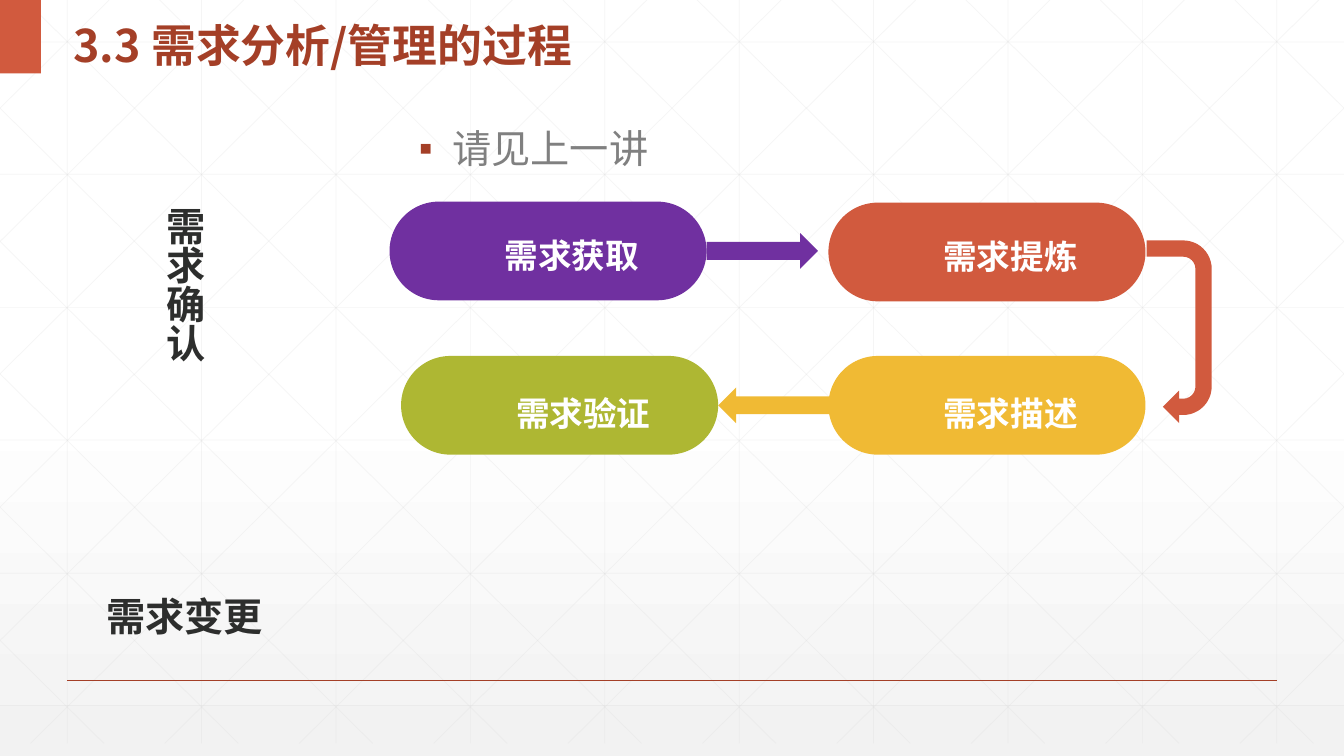
"""Build the slide on the process of requirements analysis and management."""
from dataclasses import dataclass

from lxml.etree import SubElement as Sub
from pptx import Presentation
from pptx.dml.color import RGBColor as Rgb
from pptx.enum.lang import MSO_LANGUAGE_ID as Lang
from pptx.enum.shapes import MSO_CONNECTOR as Link, MSO_SHAPE as Kind
from pptx.enum.text import MSO_ANCHOR as Anchor, MSO_AUTO_SIZE as Auto, PP_ALIGN as Align
from pptx.oxml.ns import qn
from pptx.util import Pt

PX = 9525
WIDE, HIGH = 1280, 720


@dataclass(frozen=True)
class Theme:
    sans: str = "Noto Sans CJK SC"
    latin: str = "Arial"
    serif: str = "Times New Roman"
    rust: str = "A43F27"
    coral: str = "D15A3E"
    purple: str = "7030A0"
    gold: str = "F0BA34"
    olive: str = "AEB733"
    white: str = "FFFFFF"
    mist: str = "F2F2F2"
    grid: str = "D9D9D9"
    gray: str = "808080"
    ink: str = "2D2E2D"
    head: int = 32
    body: int = 28
    step: int = 24


def apply(item, values):
    for name, value in values.items():
        setattr(item, name, value)


class Deck:
    def __init__(self, theme):
        self.theme = theme
        self.file = Presentation()
        apply(self.file, {"slide_width": WIDE * PX, "slide_height": HIGH * PX})
        self.slide = self.file.slides.add_slide(self.file.slide_layouts[5])
        self.shapes = self.slide.shapes

    def back(self, top, base, start):
        fill = self.slide.background.fill
        fill.gradient()
        fill.gradient_angle = 270
        for stop, color, place in zip(fill.gradient_stops, (top, base), (start, 1)):
            stop.color.rgb = Rgb.from_string(color)
            stop.position = place

    def line(self, ends, color, width, alpha=None):
        line = self.shapes.add_connector(Link.STRAIGHT, *(round(v) * PX for v in ends))
        line.line.width = Pt(width)
        line.line.color.rgb = Rgb.from_string(color)
        props = line._element.spPr
        Sub(props, qn("a:effectLst"))
        if alpha:
            tint = props.find(".//" + qn("a:srgbClr"))
            Sub(tint, qn("a:alpha")).set("val", str(alpha * 1000))

    def shape(self, kind, box, color, turn=0):
        shape = self.shapes.add_shape(kind, *(v * PX for v in box))
        shape.shadow.inherit = False
        shape.fill.solid()
        shape.fill.fore_color.rgb = Rgb.from_string(color)
        shape.line.fill.background()
        shape.rotation = turn
        return shape

    def letter(self, shape, text, look, face, para=None, pad=(10, 5), mark=None, left=0):
        frame = shape.text_frame
        sides = ("margin_left", "margin_top", "margin_right", "margin_bottom")
        apply(frame, dict(zip(sides, (v * PX for v in pad * 2))))
        apply(frame, {"word_wrap": True, "auto_size": Auto.NONE, **look})
        part = frame.paragraphs[0]
        apply(part, para or {})
        props = part._p.get_or_add_pPr()
        props.set("marL", str(left * PX))
        props.set("indent", str(-left * PX if mark else 0))
        if mark:
            tint = Sub(Sub(props, qn("a:buClr")), qn("a:srgbClr"))
            tint.set("val", self.theme.rust)
            Sub(props, qn("a:buFont")).set("typeface", self.theme.latin)
            Sub(props, qn("a:buChar")).set("char", mark)
        run = part.add_run()
        run.text = text
        name, size, color, bold = face
        apply(run.font, {"name": name, "size": Pt(size), "bold": bold,
                         "language_id": Lang.SIMPLIFIED_CHINESE})
        run.font.color.rgb = Rgb.from_string(color)
        Sub(run._r.rPr, qn("a:ea")).set("typeface", self.theme.sans)

    def title(self, text, box):
        title = self.shapes.title
        sides = ("left", "top", "width", "height")
        apply(title, dict(zip(sides, (v * PX for v in box))))
        self.shapes._spTree.append(title._element)
        self.letter(title, text, {"vertical_anchor": Anchor.MIDDLE},
                    (self.theme.sans, self.theme.head, self.theme.rust, True),
                    {"alignment": Align.LEFT, "line_spacing": 1.3})

    def label(self, text, box, face, para, upright=False, **more):
        label = self.shapes.add_textbox(*(v * PX for v in box))
        self.letter(label, text, {"vertical_anchor": Anchor.TOP}, face, para, **more)
        if upright:
            label.text_frame._txBody.bodyPr.set("vert", "eaVert")

    def pill(self, text, spot, color, lead):
        pill = self.shape(Kind.ROUNDED_RECTANGLE, (*spot, 302, 94), color)
        pill.adjustments[0] = 0.5
        self.letter(pill, text, {"vertical_anchor": Anchor.MIDDLE, "word_wrap": False},
                    (self.theme.latin, self.theme.step, self.theme.white, True),
                    {"alignment": Align.CENTER, "line_spacing": lead},
                    pad=(19, 10), left=45)

    def lattice(self, foot, pitch, run):
        ends = [(64 + pitch * k, 0, 64 + pitch * k, foot) for k in range(10)]
        ends += [(0, 40 + 126.4 * k, WIDE, 40 + 126.4 * k) for k in range(6)]
        for k in range(-5, 10):
            start = 24 + pitch * k
            x1, x2 = max(start, 0), min(start + run, WIDE)
            y1, y2 = ((x - start) * foot / run for x in (x1, x2))
            ends += [(x1, y1, x2, y2), (WIDE - x1, y1, WIDE - x2, y2)]
        for each in ends:
            self.line(each, self.theme.grid, 0.5, 25)


def main():
    theme = Theme()
    deck = Deck(theme)
    deck.back(theme.white, theme.mist, 0.53)
    deck.lattice(708, 128, 715)
    deck.line((64, 648, 1216, 648), theme.rust, 1)
    deck.shape(Kind.RECTANGLE, (0, 0, 39, 70), theme.coral)
    deck.title("3.3 需求分析/管理的过程", (60, 0, 546, 70))

    deck.shape(Kind.RIGHT_ARROW, (673, 222, 106, 34), theme.purple)
    deck.shape(Kind.U_TURN_ARROW, (1036, 285, 174, 62), theme.coral, 90)
    for text, spot, color, lead in (
        ("需求获取", (371, 192), theme.purple, 1.2),
        ("需求提炼", (789, 193), theme.coral, 1.2),
        ("需求描述", (789, 339), theme.gold, 1.4),
        ("需求验证", (382, 339), theme.olive, 1.4),
    ):
        deck.pill(text, spot, color, lead)
    deck.shape(Kind.RIGHT_ARROW, (684, 369, 110, 34), theme.gold, 180)

    side = (theme.serif, theme.body, theme.ink, True)
    center = {"alignment": Align.CENTER}
    deck.label("需求确认", (144, 192, 64, 240), side, center, upright=True)
    deck.label("需求变更", (64, 559, 224, 55), side, center)
    deck.label("请见上一讲", (389, 91, 266, 111),
               (theme.sans, theme.body, theme.gray, False),
               {"line_spacing": 1.5}, mark="▪", left=32)
    deck.file.save("out.pptx")


if __name__ == "__main__":
    main()
